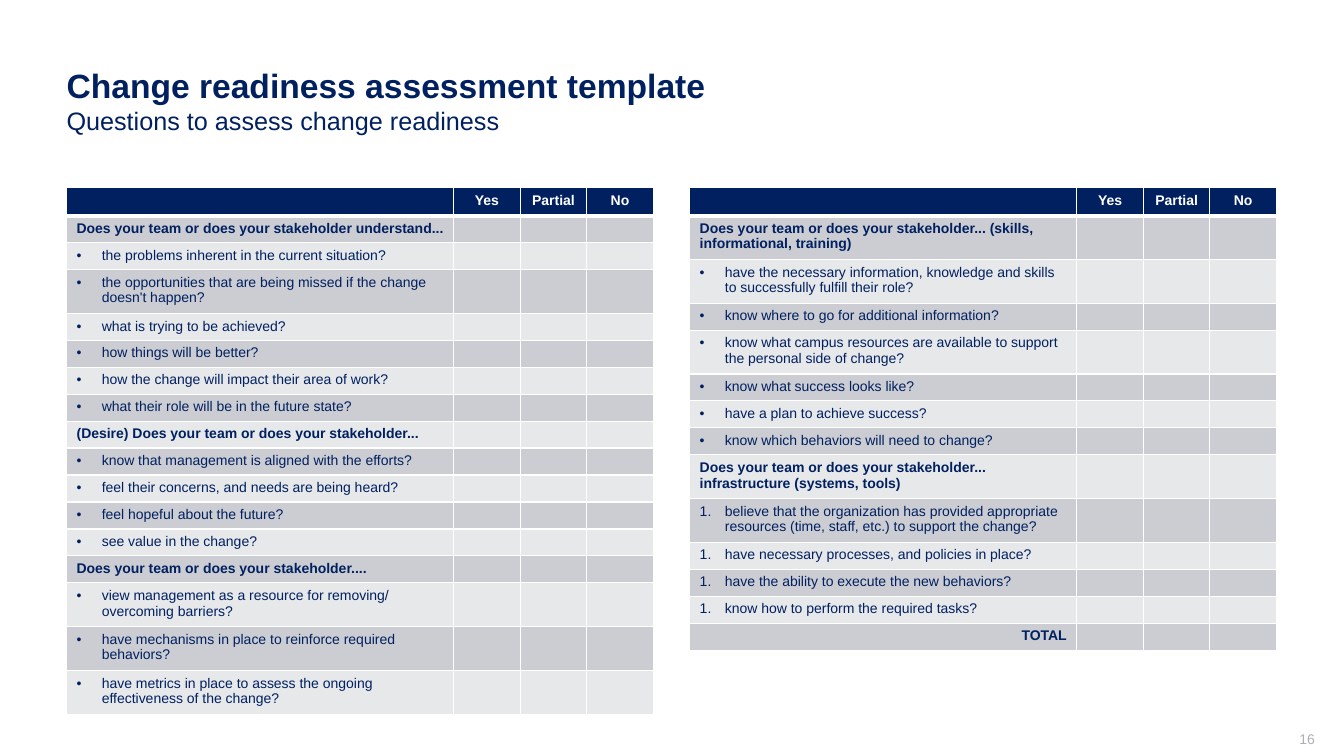
"""Build the change readiness assessment slide with two question tables."""
from lxml import etree
from pptx import Presentation
from pptx.dml.color import RGBColor
from pptx.enum import text as txt
from pptx.oxml import ns
from pptx.util import Inches, Pt

TITLE = "Change readiness assessment template"
SUB = "Questions to assess change readiness"
PAGE = "16"
HEADS = ["", "Yes", "Partial", "No"]
LEFT = [
    ("head", "Does your team or does your stakeholder understand..."),
    ("dot", "the problems inherent in the current situation?"),
    ("dot", "the opportunities that are being missed if the change doesn't happen?"),
    ("dot", "what is trying to be achieved?"),
    ("dot", "how things will be better?"),
    ("dot", "how the change will impact their area of work?"),
    ("dot", "what their role will be in the future state?"),
    ("head", "(Desire) Does your team or does your stakeholder..."),
    ("dot", "know that management is aligned with the efforts?"),
    ("dot", "feel their concerns, and needs are being heard?"),
    ("dot", "feel hopeful about the future?"),
    ("dot", "see value in the change?"),
    ("head", "Does your team or does your stakeholder...."),
    ("dot", "view management as a resource for removing/ overcoming barriers?"),
    ("dot", "have mechanisms in place to reinforce required behaviors?"),
    ("dot", "have metrics in place to assess the ongoing effectiveness of the change?"),
]
RIGHT = [
    ("head", "Does your team or does your stakeholder... (skills, informational, training)"),
    ("dot", "have the necessary information, knowledge and skills to successfully fulfill their role?"),
    ("dot", "know where to go for additional information?"),
    ("dot", "know what campus resources are available to support the personal side of change?"),
    ("dot", "know what success looks like?"),
    ("dot", "have a plan to achieve success?"),
    ("dot", "know which behaviors will need to change?"),
    ("head", "Does your team or does your stakeholder... infrastructure (systems, tools)"),
    ("num", "believe that the organization has provided appropriate resources (time, staff, etc.) to support the change?"),
    ("num", "have necessary processes, and policies in place?"),
    ("num", "have the ability to execute the new behaviors?"),
    ("num", "know how to perform the required tasks?"),
    ("total", "TOTAL"),
]

THEME = {
    "font": "Arial", "navy": "002060", "white": "FFFFFF", "grey": "ADAFBB",
    "bands": ["E7E8EA", "CCCDD2"], "title": 24, "sub": 18, "body": 10,
}
TABLES = [(0.66, LEFT), (6.84, RIGHT)]
TOP, COLS, HEAD, ROW = 1.86, [3.84, 0.66, 0.66, 0.66], 0.28, 0.24
MARKS = {"dot": ("a:buChar", {"char": "•"}),
         "num": ("a:buAutoNum", {"type": "arabicPeriod"})}
ALIGN = {"top": txt.PP_ALIGN.CENTER, "total": txt.PP_ALIGN.RIGHT}


def add_run(para, words, size, tone, bold=False):
    run = para.add_run()
    run.text = words
    look = {"name": THEME["font"], "size": Pt(size), "bold": bold}
    for key, val in look.items():
        setattr(run.font, key, val)
    run.font.color.rgb = RGBColor.from_string(THEME[tone])


def add_mark(para, kind):
    tag, attrs = MARKS[kind]
    props = para._p.get_or_add_pPr()
    for key, val in (("marL", 0.25), ("indent", -0.25)):
        props.set(key, str(Inches(val)))
    etree.SubElement(props, ns.qn("a:buFont"), typeface=THEME["font"])
    etree.SubElement(props, ns.qn(tag), attrs)


def add_edges(cell, row):
    props = cell._tc.get_or_add_tcPr()
    wide = {"T": 3 if row == 1 else 1, "B": 3 if row == 0 else 1}
    for spot, side in enumerate("LRTB"):
        line = etree.Element(ns.qn("a:ln" + side), w=str(Pt(wide.get(side, 1))))
        fill = etree.SubElement(line, ns.qn("a:solidFill"))
        etree.SubElement(fill, ns.qn("a:srgbClr"), val=THEME["white"])
        props.insert(spot, line)


def fill_cell(cell, row, kind, words):
    tone = THEME["bands"][row % 2] if row else THEME["navy"]
    cell.fill.solid()
    cell.fill.fore_color.rgb = RGBColor.from_string(tone)
    add_edges(cell, row)
    para = cell.text_frame.paragraphs[0]
    if kind in MARKS:
        add_mark(para, kind)
    if kind in ALIGN:
        para.alignment = ALIGN[kind]
    if words:
        add_run(para, words, THEME["body"], "navy" if row else "white", kind not in MARKS)
    else:
        etree.SubElement(para._p, ns.qn("a:endParaRPr"), sz=str(THEME["body"] * 100))


def add_grid(slide, left, items):
    rows = [("top", HEADS)] + [(kind, [words, "", "", ""]) for kind, words in items]
    high = HEAD + ROW * len(items)
    spot = [Inches(n) for n in (left, TOP, sum(COLS), high)]
    grid = slide.shapes.add_table(len(rows), len(COLS), *spot).table
    for col, wide in zip(grid.columns, COLS):
        col.width = Inches(wide)
    for row, (kind, cells) in enumerate(rows):
        grid.rows[row].height = Inches(ROW if row else HEAD)
        for col, words in enumerate(cells):
            fill_cell(grid.cell(row, col), row, kind, words)


def add_title(slide):
    box = slide.shapes.title
    place = {"left": 0.56, "top": 0.4, "width": 12.11, "height": 1.19}
    for key, val in place.items():
        setattr(box, key, Inches(val))
    frame = box.text_frame
    frame.auto_size = txt.MSO_AUTO_SIZE.NONE
    frame.vertical_anchor = txt.MSO_ANCHOR.MIDDLE
    para = frame.paragraphs[0]
    para.alignment = txt.PP_ALIGN.LEFT
    add_run(para, TITLE, THEME["title"], "navy", True)
    para.add_line_break()
    add_run(para, SUB, THEME["sub"], "navy")


def add_page(slide):
    spot = [Inches(n) for n in (10.04, 7.25, 3, 0.21)]
    frame = slide.shapes.add_textbox(*spot).text_frame
    look = {"word_wrap": True, "vertical_anchor": txt.MSO_ANCHOR.MIDDLE,
            "margin_left": Inches(0.1), "margin_top": 0,
            "margin_right": 0, "margin_bottom": Inches(0.05)}
    for key, val in look.items():
        setattr(frame, key, val)
    para = frame.paragraphs[0]
    para.alignment = txt.PP_ALIGN.RIGHT
    add_run(para, PAGE, THEME["body"], "grey")


def main():
    deck = Presentation()
    deck.slide_width, deck.slide_height = Inches(13.33), Inches(7.5)
    slide = deck.slides.add_slide(deck.slide_layouts[5])
    add_title(slide)
    add_page(slide)
    for left, items in TABLES:
        add_grid(slide, left, items)
    deck.save("out.pptx")


if __name__ == "__main__":
    main()
